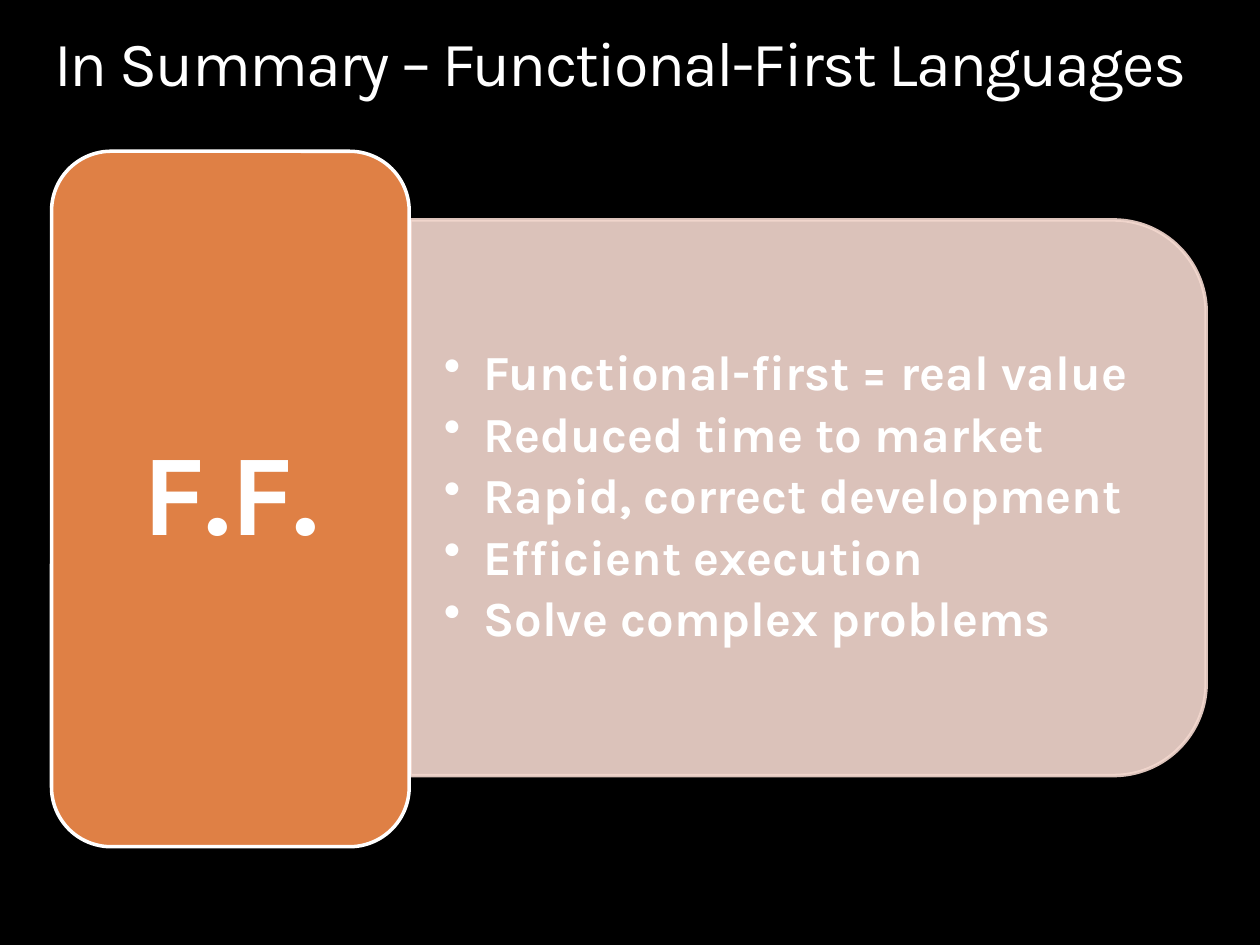
from dataclasses import dataclass

from lxml.etree import SubElement
from pptx import Presentation
from pptx.dml.color import RGBColor as Color
from pptx.enum.shapes import MSO_SHAPE as Shape
from pptx.enum.text import MSO_ANCHOR as Anchor, PP_ALIGN as Align
from pptx.oxml.ns import qn
from pptx.util import Cm, Pt


@dataclass(frozen=True)
class Theme:
    font: str = "Karla"
    black: Color = Color(0x00, 0x00, 0x00)
    white: Color = Color(0xFF, 0xFF, 0xFF)
    orange: Color = Color(0xDF, 0x80, 0x45)
    blush: Color = Color(0xF3, 0xD8, 0xCF)
    title: Pt = Pt(36)
    bullet: Pt = Pt(28)
    label: Pt = Pt(66)
    outline: Pt = Pt(2)


theme = Theme()


def add_text(page, lines, place, size, inset=(0, 0), bold=False, anchor=Anchor.MIDDLE):
    """Add a wrapped text box and return its paragraphs."""
    frame = page.shapes.add_textbox(*map(Cm, place)).text_frame
    frame.word_wrap = True
    frame.vertical_anchor = anchor
    frame.margin_left = frame.margin_right = Cm(inset[0])
    frame.margin_top = frame.margin_bottom = Cm(inset[1])
    frame.text = "\n".join(lines)
    for para in frame.paragraphs:
        para.line_spacing = 0.9
        para.font.name = theme.font
        para.font.size = size
        para.font.bold = bold
        para.font.color.rgb = theme.white
    return frame.paragraphs


def add_panel(page, kind, place, fill, line):
    """Add a flat filled shape with an outline."""
    panel = page.shapes.add_shape(kind, *map(Cm, place))
    panel.shadow.inherit = False
    panel.fill.solid()
    panel.fill.fore_color.rgb = fill
    panel.line.color.rgb = line
    panel.line.width = theme.outline
    return panel


deck = Presentation()
deck.slide_width, deck.slide_height = Cm(25.4), Cm(19.05)
page = deck.slides.add_slide(deck.slide_layouts[6])
page.background.fill.solid()
page.background.fill.fore_color.rgb = theme.black

# Title, slightly tightened
title = add_text(page, ["In Summary – Functional-First Languages"],
                 (1.09, 0.64, 23.24, 1.4), theme.title, anchor=Anchor.TOP)
for span in title[0].runs:
    span.font.size = theme.title
    span.font._element.set("spc", "-100")

# Translucent panel, turned so that its round corners face right
panel = add_panel(page, Shape.ROUND_2_SAME_RECTANGLE, (10.69, 2.01, 11.2, 16.05),
                  theme.blush, theme.blush)
panel.rotation = 90
for color in panel._element.spPr.iter(qn("a:srgbClr")):
    SubElement(color, qn("a:alpha"), val="90000")

# Bulleted benefits
benefits = [
    "Functional-first = real value",
    "Reduced time to market",
    "Rapid, correct development",
    "Efficient execution",
    "Solve complex problems",
]
for para in add_text(page, benefits, (8.26, 4.98, 15.52, 10.11), theme.bullet,
                     inset=(0.69, 0.36), bold=True):
    para.space_after = Pt(4.9)
    props = para._element.get_or_add_pPr()
    props.set("marL", str(Cm(0.79)))
    props.set("indent", str(-Cm(0.79)))
    bullet = props.makeelement(qn("a:buChar"), {"char": "•"})
    props.find(qn("a:defRPr")).addprevious(bullet)

# Orange card with its label
add_panel(page, Shape.ROUNDED_RECTANGLE, (1.04, 3.05, 7.21, 14.02),
          theme.orange, theme.white)
label = add_text(page, ["F.F."], (1.4, 3.38, 6.5, 13.31), theme.label,
                 inset=(0.71, 0.36), bold=True)
label[0].alignment = Align.CENTER

deck.save("out.pptx")
